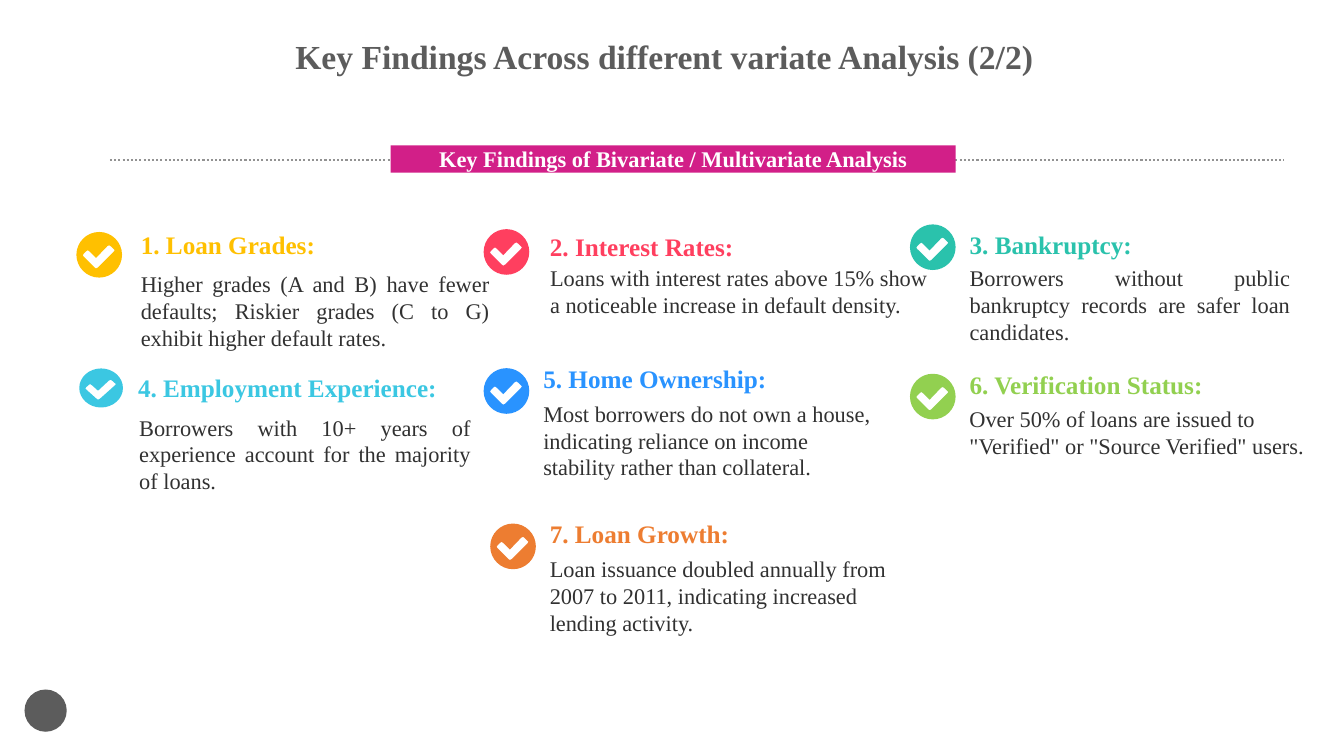
from dataclasses import dataclass
from typing import Any

from lxml.etree import SubElement
from pptx import Presentation
from pptx.dml.color import RGBColor
from pptx.enum.dml import MSO_LINE
from pptx.enum.shapes import MSO_CONNECTOR, MSO_SHAPE
from pptx.enum.text import MSO_ANCHOR, MSO_AUTO_SIZE, PP_ALIGN
from pptx.oxml.ns import qn
from pptx.util import Pt

COLORS = {
    "grey": "5C5C5C",
    "rule": "929292",
    "ink": "313131",
    "white": "FFFFFF",
    "magenta": "D21F88",
    "yellow": "FFC000",
    "red": "FF3F5F",
    "teal": "2AC2AC",
    "cyan": "3BC7E2",
    "blue": "2993FF",
    "green": "92D050",
    "orange": "ED7D31",
}
FONT = "Times New Roman"
HEADING_HEIGHT = 21.6
BODY_LINE_HEIGHT = 19.4
ARC_PULL = 0.55
CIRCLE = [(0.5, 1), (0, 0.5), (0.5, 0), (1, 0.5), (0.5, 1)]
TICK = [
    (0.82, 0.38), (0.76, 0.32), (0.72, 0.29), (0.68, 0.31),
    (0.43, 0.57), (0.29, 0.43), (0.25, 0.4), (0.22, 0.42),
    (0.16, 0.48), (0.14, 0.51), (0.16, 0.54), (0.4, 0.78),
    (0.43, 0.8), (0.47, 0.78), (0.82, 0.43), (0.84, 0.4),
]


@dataclass(frozen=True)
class Area:
    left: float
    top: float
    width: float
    height: float

    def lengths(self) -> tuple:
        return Pt(self.left), Pt(self.top), Pt(self.width), Pt(self.height)


@dataclass(frozen=True)
class Finding:
    heading: str
    body: str
    color: str
    badge: tuple[float, float]
    heading_at: tuple[float, float, float]
    body_at: tuple[float, float, float]
    body_lines: int = 3
    heading_wraps: bool = False
    align: PP_ALIGN = PP_ALIGN.LEFT
    badge_size: tuple[float, float] = (32.6, 32.6)


FINDINGS = [
    Finding("1. Loan Grades:",
            "Higher grades (A and B) have fewer defaults; Riskier grades (C to G) exhibit higher default rates.",
            "yellow", (54.6, 165.7), (100.6, 163.8, 244.8), (100.6, 193, 249.1),
            heading_wraps=True, align=PP_ALIGN.JUSTIFY),
    Finding("2. Interest Rates:",
            "Loans with interest rates above 15% show a noticeable increase in default density.",
            "red", (345.5, 163.7), (392.8, 164.9, 132.5), (392.9, 188.6, 275), body_lines=2),
    Finding("3. Bankruptcy:",
            "Borrowers without public bankruptcy records are safer loan candidates.",
            "teal", (650, 160.3), (692.6, 163.8, 117.4), (692.6, 188.6, 229),
            align=PP_ALIGN.JUSTIFY),
    Finding("4. Employment Experience:",
            "Borrowers with 10+ years of experience account for the majority of loans.",
            "cyan", (56.6, 263.2), (98.6, 265.7, 253.4), (99.4, 295.5, 236.9),
            heading_wraps=True, align=PP_ALIGN.JUSTIFY, badge_size=(31.2, 27.9)),
    Finding("5. Home Ownership:",
            "Most borrowers do not own a house, indicating reliance on income stability rather than collateral.",
            "blue", (345.5, 263), (388.1, 259.5, 161.3), (388.1, 285.6, 240.5)),
    Finding("6. Verification Status:",
            "Over 50% of loans are issued to \"Verified\" or \"Source Verified\" users.",
            "green", (650, 267), (692.6, 263.5, 168.5), (692.5, 289.4, 240.5), body_lines=2),
    Finding("7. Loan Growth:",
            "Loan issuance doubled annually from 2007 to 2011, indicating increased lending activity.",
            "orange", (350.2, 374), (392.7, 370.4, 129.6), (392.7, 396.7, 240.5)),
]


def rgb(name: str) -> RGBColor:
    return RGBColor.from_string(COLORS[name])


def apply(target: Any, values: dict[str, Any]) -> None:
    for name, value in values.items():
        setattr(target, name, value)


def write(box: Any, text: str, size: float, color: str, bold: bool = False, wrap: bool = True,
          align: PP_ALIGN = PP_ALIGN.LEFT, anchor: MSO_ANCHOR = MSO_ANCHOR.TOP) -> None:
    frame = box.text_frame
    apply(frame, {
        "margin_left": 0, "margin_top": 0, "margin_right": 0, "margin_bottom": 0,
        "auto_size": MSO_AUTO_SIZE.NONE, "word_wrap": wrap, "vertical_anchor": anchor,
    })
    para = frame.paragraphs[0]
    para.alignment = align
    span = para.add_run()
    span.text = text
    apply(span.font, {"name": FONT, "size": Pt(size), "bold": bold})
    span.font.color.rgb = rgb(color)


def paint(shape: Any, color: str) -> None:
    shape.shadow.inherit = False
    shape.fill.solid()
    shape.fill.fore_color.rgb = rgb(color)
    shape.line.fill.background()


def add_filled(page: Any, kind: MSO_SHAPE, area: Area, color: str) -> Any:
    shape = page.shapes.add_shape(kind, *area.lengths())
    paint(shape, color)
    return shape


def add_rule(page: Any, left: float, right: float, height: float) -> None:
    rule = page.shapes.add_connector(
        MSO_CONNECTOR.STRAIGHT, Pt(left), Pt(height), Pt(right), Pt(height))
    apply(rule.line, {"width": Pt(1.5), "dash_style": MSO_LINE.ROUND_DOT})
    rule.line.color.rgb = rgb("rule")
    SubElement(rule._element.spPr, qn("a:effectLst"))


def pull(point: tuple[float, float], corner: tuple[float, float]) -> tuple[float, float]:
    return (point[0] + ARC_PULL * (corner[0] - point[0]),
            point[1] + ARC_PULL * (corner[1] - point[1]))


def round_circle(badge: Any, area: Area) -> None:
    sides = list(badge._element.iter(qn("a:lnTo")))[:len(CIRCLE) - 1]
    for side, start, end in zip(sides, CIRCLE, CIRCLE[1:]):
        corner = (start[0] + end[0] - 0.5, start[1] + end[1] - 0.5)
        outline = side.getparent()
        arc = SubElement(outline, qn("a:cubicBezTo"))
        for x, y in (pull(start, corner), pull(end, corner), end):
            SubElement(arc, qn("a:pt"), x=str(Pt(x * area.width)), y=str(Pt(y * area.height)))
        outline.replace(side, arc)


def add_badge(page: Any, area: Area, color: str) -> None:
    circle, tick = (
        [(Pt(area.left + x * area.width), Pt(area.top + y * area.height)) for x, y in outline]
        for outline in (CIRCLE, TICK)
    )
    builder = page.shapes.build_freeform(*circle[0])
    builder.add_line_segments(circle[1:], close=True)
    builder.move_to(*tick[0])
    builder.add_line_segments(tick[1:], close=True)
    badge = builder.convert_to_shape()
    round_circle(badge, area)
    paint(badge, color)


def add_finding(page: Any, finding: Finding) -> None:
    add_badge(page, Area(*finding.badge, *finding.badge_size), finding.color)
    heading = page.shapes.add_textbox(*Area(*finding.heading_at, HEADING_HEIGHT).lengths())
    write(heading, finding.heading, 18, finding.color, bold=True, wrap=finding.heading_wraps)
    body_height = finding.body_lines * BODY_LINE_HEIGHT
    body = page.shapes.add_textbox(*Area(*finding.body_at, body_height).lengths())
    write(body, finding.body, 16, "ink", align=finding.align)


def main() -> None:
    deck = Presentation()
    apply(deck, {"slide_width": Pt(960), "slide_height": Pt(540)})
    page = deck.slides.add_slide(deck.slide_layouts[5])

    title = page.shapes.title
    left, top, width, height = Area(178.6, 21.6, 591.8, 37.4).lengths()
    apply(title, {"left": left, "top": top, "width": width, "height": height})
    write(title, "Key Findings Across different variate Analysis (2/2)", 24, "grey", bold=True,
          wrap=False, align=PP_ALIGN.CENTER, anchor=MSO_ANCHOR.MIDDLE)

    add_filled(page, MSO_SHAPE.OVAL, Area(17.5, 492.5, 30.2, 30.2), "grey")
    add_rule(page, 78.5, 917.3, 114.3)
    banner = add_filled(page, MSO_SHAPE.RECTANGLE, Area(279, 103.9, 403.7, 19.4), "magenta")
    write(banner, "Key Findings of Bivariate / Multivariate Analysis", 16, "white", bold=True,
          align=PP_ALIGN.CENTER)
    for finding in FINDINGS:
        add_finding(page, finding)

    deck.save("out.pptx")


if __name__ == "__main__":
    main()
